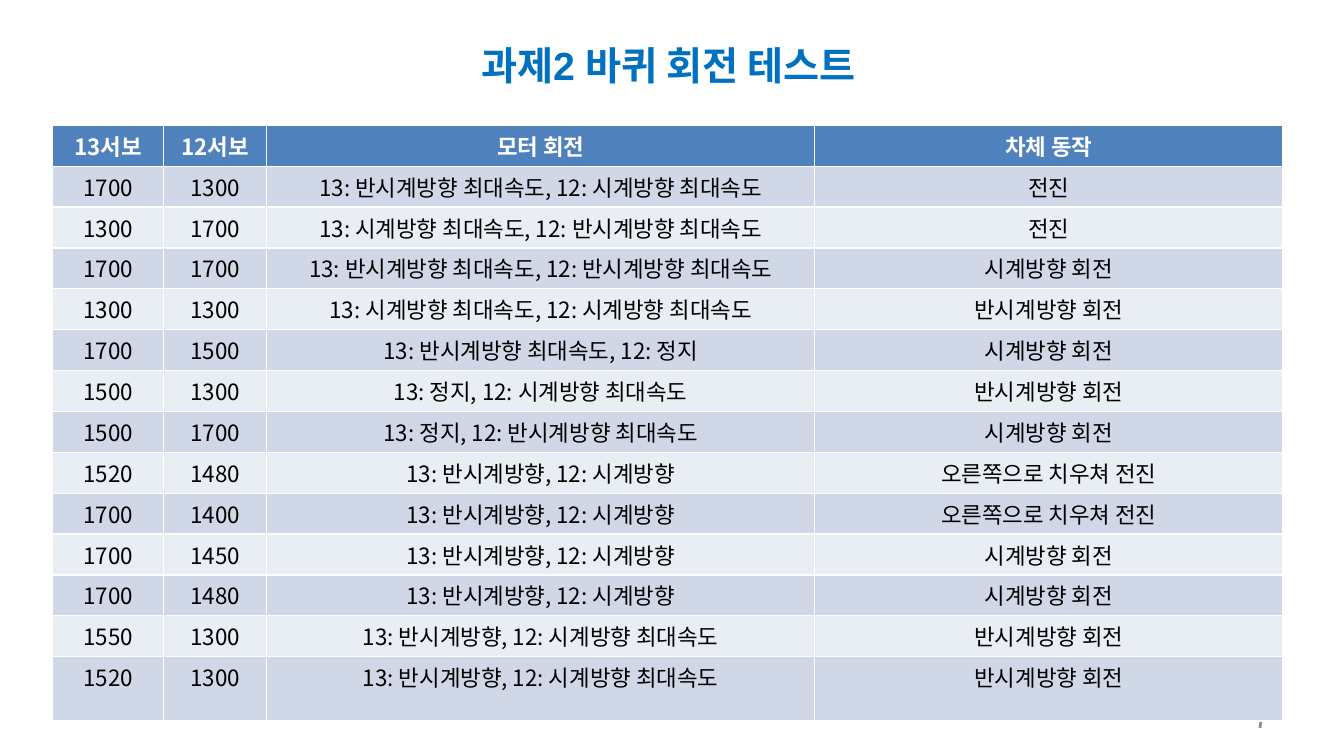
from pptx import Presentation
from pptx.dml.color import RGBColor
from pptx.enum import text
from pptx.util import Pt

COLORS = {"title": "0070C0", "number": "8C8C8C", "header": "4F81BD",
          "odd": "D0D8E8", "even": "E9EDF4", "white": "FFFFFF", "black": "000000"}
BODY_FONT = "Noto Sans CJK KR"
COLUMN_WIDTHS = (79.5, 73.5, 391.5, 334.5)
ROW_HEIGHT = 29.2
LAST_ROW_HEIGHT = 45.9
HEADER = ("13서보", "12서보", "모터 회전", "차체 동작")
TESTS = (
    ("1700", "1300", "13: 반시계방향 최대속도, 12: 시계방향 최대속도", "전진"),
    ("1300", "1700", "13: 시계방향 최대속도, 12: 반시계방향 최대속도", "전진"),
    ("1700", "1700", "13: 반시계방향 최대속도, 12: 반시계방향 최대속도", "시계방향 회전"),
    ("1300", "1300", "13: 시계방향 최대속도, 12: 시계방향 최대속도", "반시계방향 회전"),
    ("1700", "1500", "13: 반시계방향 최대속도, 12: 정지", "시계방향 회전"),
    ("1500", "1300", "13: 정지, 12: 시계방향 최대속도", "반시계방향 회전"),
    ("1500", "1700", "13: 정지, 12: 반시계방향 최대속도", "시계방향 회전"),
    ("1520", "1480", "13: 반시계방향, 12: 시계방향", "오른쪽으로 치우쳐 전진"),
    ("1700", "1400", "13: 반시계방향, 12: 시계방향", "오른쪽으로 치우쳐 전진"),
    ("1700", "1450", "13: 반시계방향, 12: 시계방향", "시계방향 회전"),
    ("1700", "1480", "13: 반시계방향, 12: 시계방향", "시계방향 회전"),
    ("1550", "1300", "13: 반시계방향, 12: 시계방향 최대속도", "반시계방향 회전"),
    ("1520", "1300", "13: 반시계방향, 12: 시계방향 최대속도", "반시계방향 회전"),
)


def color(name):
    return RGBColor.from_string(COLORS[name])


def write(frame, words, size, ink, font=BODY_FONT, bold=False,
          align=text.PP_ALIGN.CENTER):
    """Fill a text frame with one uniformly formatted paragraph."""
    frame.text = words
    para = frame.paragraphs[0]
    para.alignment = align
    para.font.name = font
    para.font.size = Pt(size)
    para.font.bold = bold
    para.font.color.rgb = color(ink)


def place_title(slide, left, top, width, height):
    title = slide.shapes.title
    title.left, title.top = Pt(left), Pt(top)
    title.width, title.height = Pt(width), Pt(height)
    title.text_frame.auto_size = text.MSO_AUTO_SIZE.NONE
    title.text_frame.vertical_anchor = text.MSO_ANCHOR.MIDDLE
    write(title.text_frame, "과제2 바퀴 회전 테스트", 28, "title", "Arial", True)


def add_page_number(slide, left, top, width, height):
    box = slide.shapes.add_textbox(Pt(left), Pt(top), Pt(width), Pt(height))
    box.text_frame.word_wrap = True
    box.text_frame.vertical_anchor = text.MSO_ANCHOR.MIDDLE
    write(box.text_frame, "7", 14, "number", bold=True, align=text.PP_ALIGN.RIGHT)


def add_test_table(slide, left, top, width, height):
    rows = (HEADER, *TESTS)
    table = slide.shapes.add_table(len(rows), len(HEADER), Pt(left), Pt(top),
                                   Pt(width), Pt(height)).table
    for column, column_width in zip(table.columns, COLUMN_WIDTHS):
        column.width = Pt(column_width)
    for index, values in enumerate(rows):
        is_header = index == 0
        is_last = index == len(rows) - 1
        table.rows[index].height = Pt(LAST_ROW_HEIGHT if is_last else ROW_HEIGHT)
        fill = "header" if is_header else "odd" if index % 2 else "even"
        for cell, words in zip(table.rows[index].cells, values):
            cell.margin_top = cell.margin_bottom = Pt(3)
            cell.fill.solid()
            cell.fill.fore_color.rgb = color(fill)
            write(cell.text_frame, words, 16, "white" if is_header else "black",
                  bold=is_header)


def main():
    deck = Presentation()
    deck.slide_width, deck.slide_height = Pt(960), Pt(540)
    slide = deck.slides.add_slide(deck.slide_layouts.get_by_name("Title Only"))
    add_page_number(slide, 688.5, 500.5, 224, 28.75)
    place_title(slide, 157, 26, 641, 41)
    add_test_table(slide, 37.5, 89.5, sum(COLUMN_WIDTHS),
                   ROW_HEIGHT * len(TESTS) + LAST_ROW_HEIGHT)
    deck.save("out.pptx")


if __name__ == "__main__":
    main()
